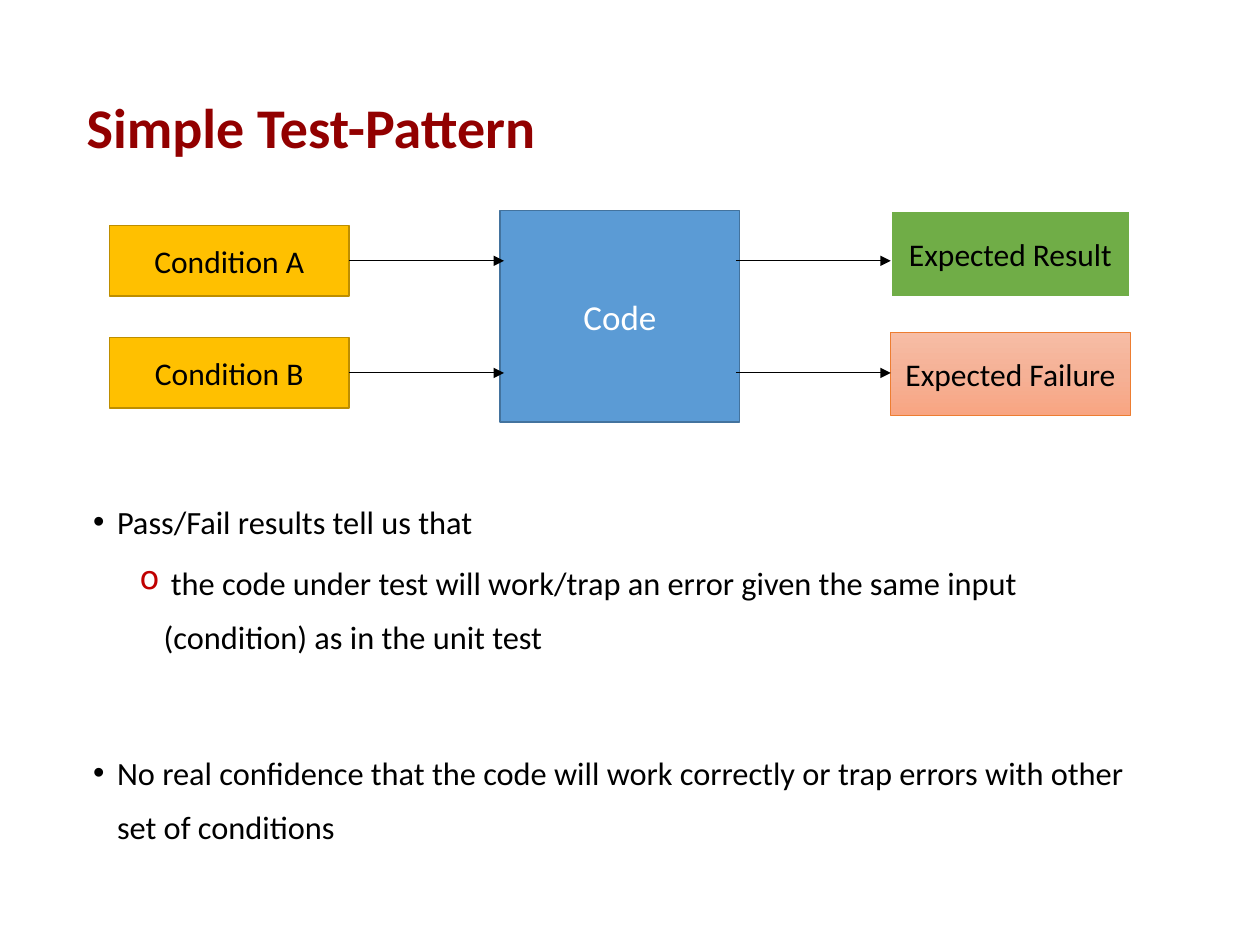
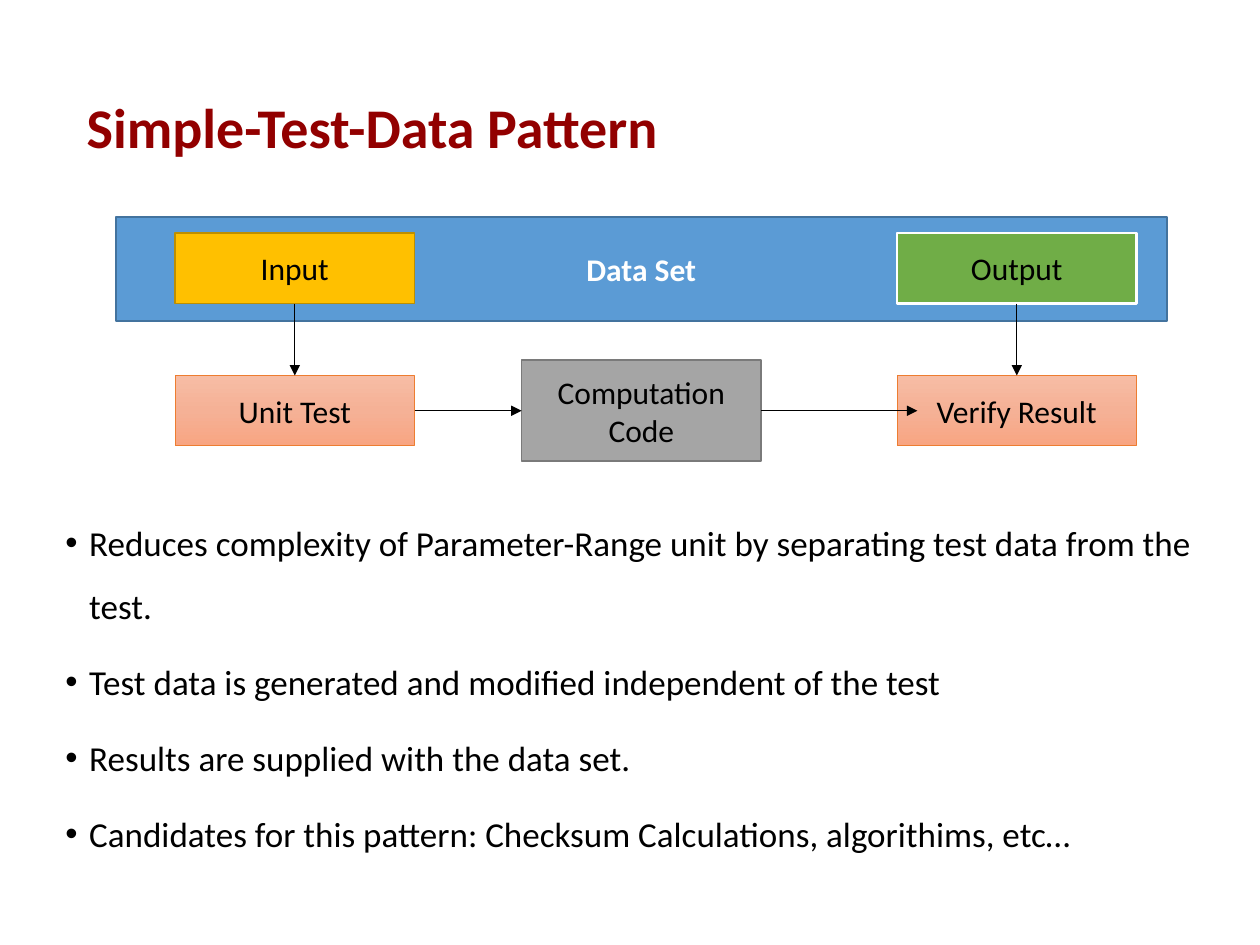
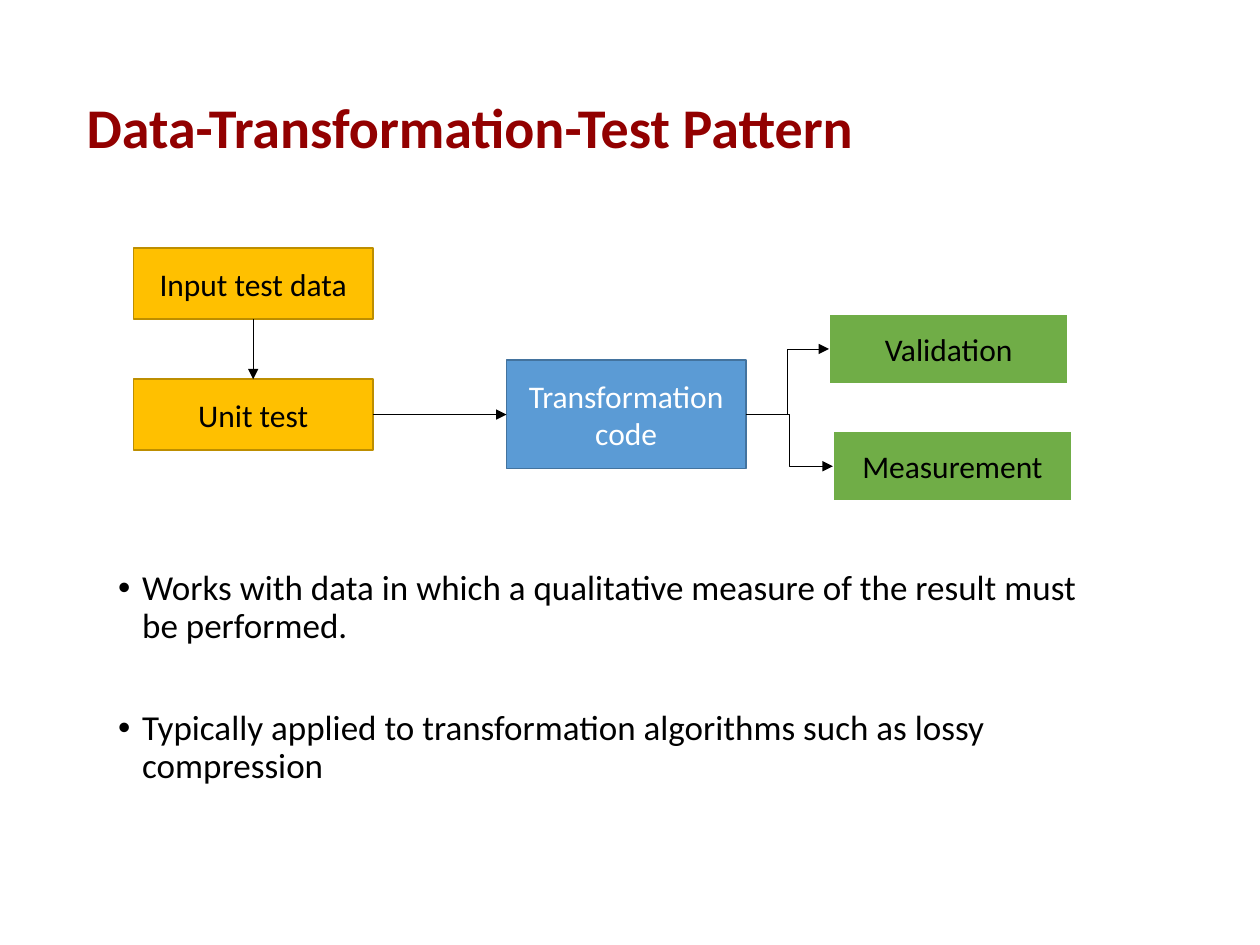
from copy import deepcopy

from pptx import Presentation
from pptx.dml.color import RGBColor
from pptx.enum.shapes import MSO_CONNECTOR, MSO_SHAPE
from pptx.enum.text import MSO_ANCHOR, PP_ALIGN
from pptx.oxml.ns import qn
from pptx.oxml.xmlchemy import OxmlElement
from pptx.util import Inches, Pt

FONT = "Calibri"
COLORS = {
    "title": "920000", "black": "000000", "white": "FFFFFF", "sub_bullet": "C00000",
    "blue": "5B9BD5", "blue_line": "43739E", "gold": "FFC000", "gold_line": "BD8E00",
    "green": "70AD47", "gray": "A5A5A5", "gray_line": "7A7A7A", "orange_line": "ED7D31",
    "peach_top": "F7BDA5", "peach_middle": "F5B196", "peach_bottom": "F8A582",
}
PEACH = [(0, "peach_top"), (0.5, "peach_middle"), (1, "peach_bottom")]

# Box styles: fill (colour or gradient stops), line colour, line width, text colour
STYLES = {
    "code": ("blue", "blue_line", 1, "white"),
    "input": ("gold", "gold_line", 1, "black"),
    "success": ("green", "white", 1.5, "black"),
    "check": (PEACH, "orange_line", 0.5, "black"),
    "neutral": ("gray", "gray_line", 1, "black"),
}
TITLE_AREA = (0.59, 0.6, 8.67, 0.87)
BOX_WIDTH, BOX_HEIGHT = 1.9, 0.56
TOP, LEFT, BOTTOM, RIGHT = range(4)  # connection sites of a rectangle
LEVEL_INDENTS = [0.19, 0.56]
HANGING = 0.19

# boxes: label, style, left, top and, where not standard, size, text size, bold
# arrows: each end is (box label, site) or a point (x, y)
# bullets: text, level, space before
SLIDES = [
    {
        "title": "Simple Test-Pattern",
        "body": {"area": (0.64, 3.81, 8.61, 3.16), "size": 18.5, "line_spacing": 1.4},
        "bullets": [
            ("Pass/Fail results tell us that", 0, 0),
            (" the code under test will work/trap an error given the same input "
             "(condition) as in the unit test", 1, 3.8),
            ("No real confidence that the code will work correctly or trap errors "
             "with other set of conditions", 0, 46.3),
        ],
        "boxes": [
            {"label": "Code", "style": "code", "at": (3.97, 1.67), "height": 1.68, "size": 20},
            {"label": "Condition A", "style": "input", "at": (0.87, 1.79)},
            {"label": "Condition B", "style": "input", "at": (0.87, 2.68)},
            {"label": "Expected Result", "style": "success", "at": (7.07, 1.67), "height": 0.69},
            {"label": "Expected Failure", "style": "check", "at": (7.07, 2.64), "height": 0.66},
        ],
        "arrows": [
            (("Condition A", RIGHT), (4, 2.07)),
            (("Condition B", RIGHT), (4, 2.96)),
            ((5.84, 2.07), (7.07, 2.07)),
            ((5.84, 2.96), (7.07, 2.96)),
        ],
    },
    {
        "title": "Simple-Test-Data Pattern",
        "body": {"area": (0.42, 3.92, 9.34, 3.51), "size": 20, "line_spacing": 1.5},
        "bullets": [
            ("Reduces complexity of Parameter-Range unit by separating test data "
             "from the test.", 0, 0),
            ("Test data is generated and modified independent of the test", 0, 7.5),
            ("Results are supplied with the data set.", 0, 7.5),
            ("Candidates for this pattern: Checksum Calculations, algorithims, etc…", 0, 7.5),
        ],
        "boxes": [
            {"label": "Data Set", "style": "code", "at": (0.92, 1.72),
             "width": 8.34, "height": 0.83, "bold": True},
            {"label": "Input", "style": "input", "at": (1.39, 1.85)},
            {"label": "Output", "style": "success", "at": (7.12, 1.85)},
            {"label": "Unit Test", "style": "check", "at": (1.39, 2.98)},
            {"label": "Verify Result", "style": "check", "at": (7.12, 2.98)},
            {"label": "Computation Code", "style": "neutral", "at": (4.14, 2.86), "height": 0.8},
        ],
        "arrows": [
            (("Input", BOTTOM), ("Unit Test", TOP)),
            (("Unit Test", RIGHT), ("Computation Code", LEFT)),
            (("Computation Code", RIGHT), (7.28, 3.26)),
            (("Output", BOTTOM), ("Verify Result", TOP)),
        ],
    },
    {
        "title": "Data-Transformation-Test Pattern",
        "body": {"area": (0.84, 4.48, 8.1, 1.95), "size": 20, "line_spacing": 0.9},
        "bullets": [
            ("Works with data in which a qualitative measure of the result must "
             "be performed.", 0, 0),
            ("Typically applied to transformation algorithms such as lossy "
             "compression", 0, 36.8),
        ],
        "boxes": [
            {"label": "Transformation code", "style": "code", "at": (4.02, 2.86), "height": 0.86},
            {"label": "Unit test", "style": "input", "at": (1.06, 3.01)},
            {"label": "Validation", "style": "success", "at": (6.58, 2.49)},
            {"label": "Measurement", "style": "success", "at": (6.61, 3.42)},
            {"label": "Input test data", "style": "input", "at": (1.06, 1.97)},
        ],
        "arrows": [
            (("Input test data", BOTTOM), ("Unit test", TOP)),
            (("Unit test", RIGHT), ("Transformation code", LEFT)),
            (("Transformation code", RIGHT), ("Validation", LEFT), MSO_CONNECTOR.ELBOW),
            (("Transformation code", RIGHT), ("Measurement", LEFT), MSO_CONNECTOR.ELBOW),
        ],
    },
]


def rgb(color):
    return RGBColor.from_string(COLORS[color])


def format_runs(paragraph, size, color, bold=False):
    for run in paragraph.runs:
        run.font.name = FONT
        run.font.size = Pt(size)
        run.font.bold = bold
        run.font.color.rgb = rgb(color)


def add_text_area(slide, area):
    frame = slide.shapes.add_textbox(*map(Inches, area)).text_frame
    frame.word_wrap = True
    return frame


def add_title(slide, title):
    frame = add_text_area(slide, TITLE_AREA)
    frame.vertical_anchor = MSO_ANCHOR.MIDDLE
    frame.text = title
    frame.paragraphs[0].line_spacing = 0.9
    format_runs(frame.paragraphs[0], 32, "title", bold=True)


def set_bullet(paragraph, level):
    properties = paragraph._p.get_or_add_pPr()
    properties.set("marL", str(Inches(LEVEL_INDENTS[level])))
    properties.set("indent", str(-Inches(HANGING)))
    if level:
        bullet_color = OxmlElement("a:buClr")
        hex_color = OxmlElement("a:srgbClr")
        hex_color.set("val", COLORS["sub_bullet"])
        bullet_color.append(hex_color)
        properties.append(bullet_color)
    else:
        bullet_font = OxmlElement("a:buFont")
        bullet_font.set("typeface", "Arial")
        properties.append(bullet_font)
    bullet = OxmlElement("a:buChar")
    bullet.set("char", "•o"[level])
    properties.append(bullet)


def add_bullets(slide, bullets, area, size, line_spacing):
    frame = add_text_area(slide, area)
    for index, (text, level, space_before) in enumerate(bullets):
        paragraph = frame.add_paragraph() if index else frame.paragraphs[0]
        paragraph.text = text
        paragraph.level = level
        set_bullet(paragraph, level)
        paragraph.line_spacing = line_spacing
        paragraph.space_before = Pt(space_before)
        format_runs(paragraph, size, "black")


def fill_gradient(box, stops):
    """Fill the box from top to bottom with three colour stops."""
    box.fill.gradient()
    box.fill.gradient_angle = 270
    stop_list = box._element.spPr.find(".//" + qn("a:gsLst"))
    stop_list.insert(1, deepcopy(stop_list[0]))
    for stop, (position, color) in zip(box.fill.gradient_stops, stops):
        stop.position = position
        stop.color.rgb = rgb(color)


def add_box(slide, label, style, at, width=BOX_WIDTH, height=BOX_HEIGHT, size=18, bold=False):
    fill, line, line_width, text_color = STYLES[style]
    box = slide.shapes.add_shape(MSO_SHAPE.RECTANGLE, *map(Inches, (*at, width, height)))
    box.shadow.inherit = False
    if fill is PEACH:
        fill_gradient(box, fill)
    else:
        box.fill.solid()
        box.fill.fore_color.rgb = rgb(fill)
    box.line.color.rgb = rgb(line)
    box.line.width = Pt(line_width)
    frame = box.text_frame
    frame.word_wrap = True
    frame.vertical_anchor = MSO_ANCHOR.MIDDLE
    frame.text = label
    frame.paragraphs[0].alignment = PP_ALIGN.CENTER
    format_runs(frame.paragraphs[0], size, text_color, bold)
    return box


def add_arrow(slide, boxes, start, end, route=MSO_CONNECTOR.STRAIGHT):
    """Draw an arrow; ends that name a box are glued to it."""
    points = [(0, 0) if end_point[0] in boxes else end_point for end_point in (start, end)]
    arrow = slide.shapes.add_connector(route, *map(Inches, points[0] + points[1]))
    for end_point, connect in ((start, arrow.begin_connect), (end, arrow.end_connect)):
        if end_point[0] in boxes:
            label, site = end_point
            connect(boxes[label], site)
    arrow.line.color.rgb = rgb("black")
    arrow.line.width = Pt(0.5)
    head = OxmlElement("a:tailEnd")
    head.set("type", "triangle")
    arrow.line._get_or_add_ln().append(head)
    arrow._element.spPr.append(OxmlElement("a:effectLst"))


def main():
    deck = Presentation()
    deck.slide_width, deck.slide_height = Inches(10), Inches(7.5)
    for content in SLIDES:
        slide = deck.slides.add_slide(deck.slide_layouts[6])
        add_title(slide, content["title"])
        add_bullets(slide, content["bullets"], **content["body"])
        boxes = {box["label"]: add_box(slide, **box) for box in content["boxes"]}
        for arrow in content["arrows"]:
            add_arrow(slide, boxes, *arrow)
    deck.save("out.pptx")


if __name__ == "__main__":
    main()
